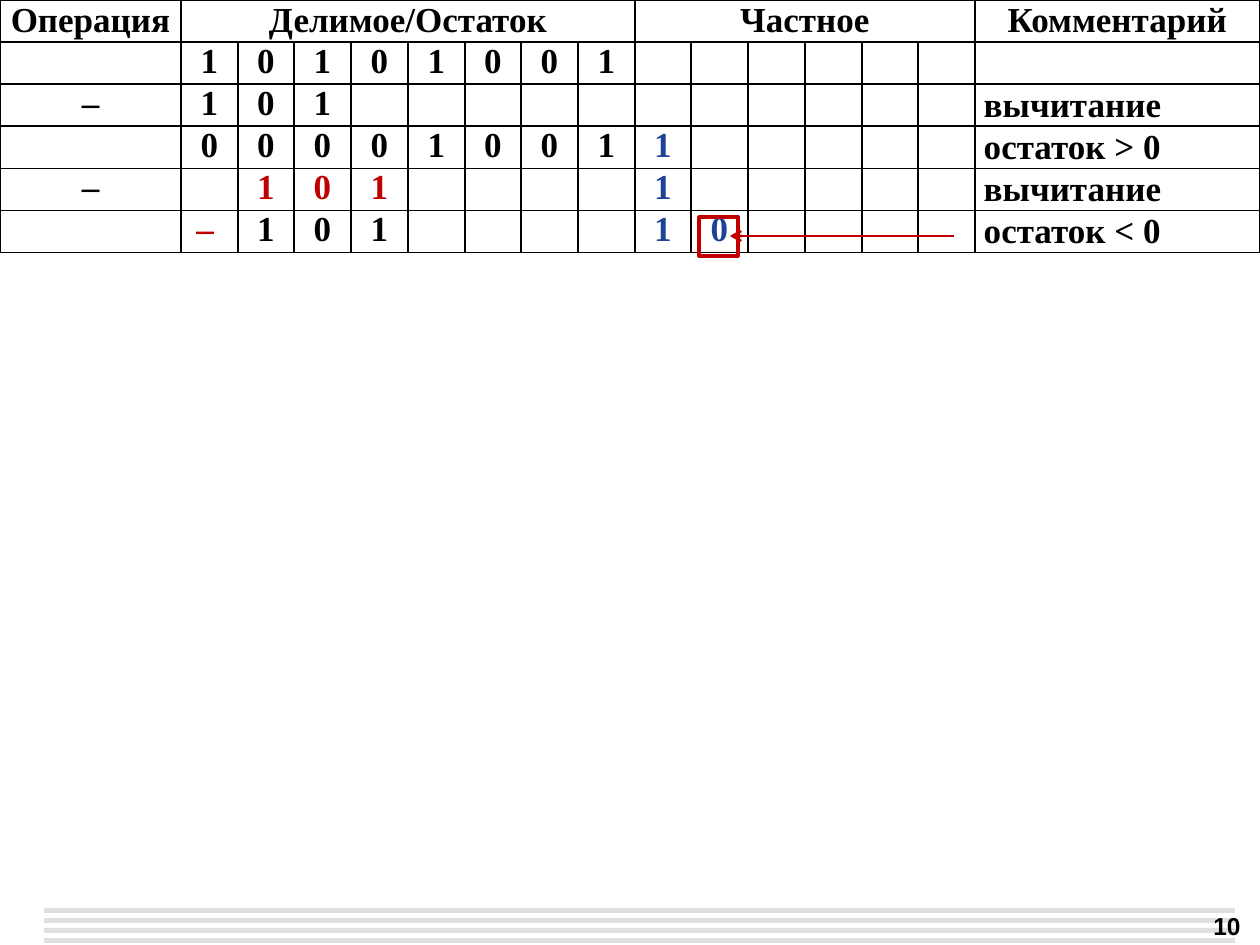
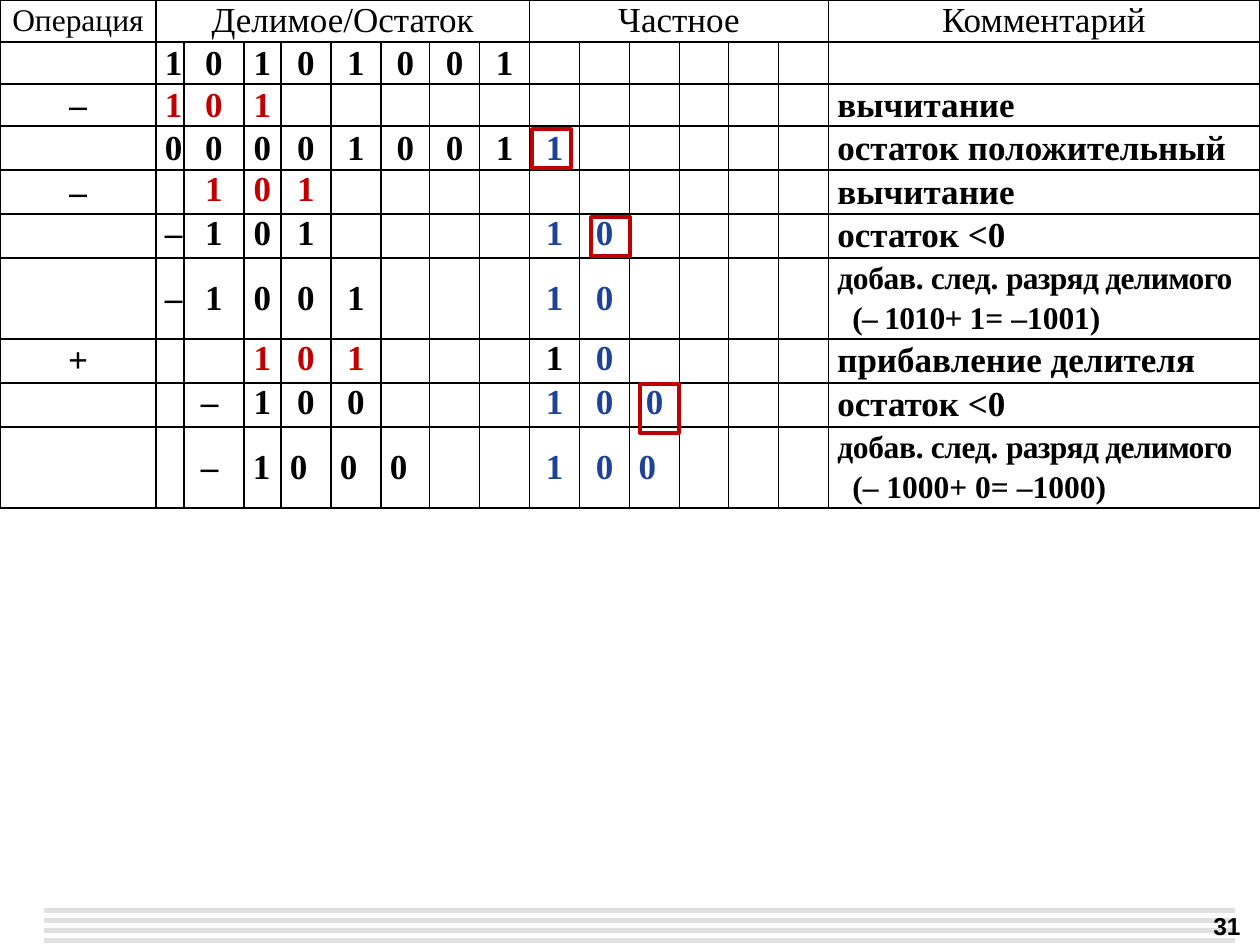
"""Two slides that divide binary numbers step by step in a table."""
from lxml.etree import SubElement as Sub
from pptx import Presentation
from pptx.dml.color import RGBColor as Rgb
from pptx.enum.shapes import MSO_CONNECTOR as Link, MSO_SHAPE as Kind
from pptx.enum.text import MSO_ANCHOR as Anchor, PP_ALIGN as Align
from pptx.oxml import parse_xml
from pptx.oxml.ns import nsdecls, qn
from pptx.util import Pt

SCALE = 914400 / 126
WIDE, HIGH = 1260, 945
SERIF, SANS = "Times New Roman", "Arial"
COLORS = {"k": "000000", "r": "C00000", "b": "1E4396", "band": "E0E0E0"}
HEADS = {0: "Операция", 1: "Делимое/Остаток", 9: "Частное", 15: "Комментарий"}
SPANS = {1: 8, 9: 14}
SIGNS = {".": "", "~": "– "}
TOP, MID = Anchor.TOP, Anchor.MIDDLE


def px(n):
    """Turn px into EMU."""
    return int(n * SCALE)


def tone(key):
    """Give the colour with this key."""
    return Rgb.from_string(COLORS[key])


def split(total, count):
    """Cut a length into near-equal whole parts."""
    edges = [round(total * i / count) for i in range(count + 1)]
    return [b - a for a, b in zip(edges, edges[1:])]


def add_run(para, text, size=20, hue="k", bold=True, face=SERIF, gap=0):
    """Add one styled run to a paragraph."""
    run = para.add_run()
    run.text = text
    font = run.font
    font.size, font.bold, font.name = Pt(size), bold, face
    font.color.rgb = tone(hue)
    if gap:
        run._r.get_or_add_rPr().set("spc", str(gap))


def add_box(slide, x, y, w, h):
    """Frame a quotient digit in red."""
    box = slide.shapes.add_shape(Kind.RECTANGLE, px(x), px(y), px(w), px(h))
    box.shadow.inherit = False
    box.fill.background()
    box.line.color.rgb = tone("r")
    box.line.width = Pt(2)


def add_arrow(slide, x1, y1, x2, y2):
    """Draw a red line with an open head at its end."""
    line = slide.shapes.add_connector(Link.STRAIGHT, px(x1), px(y1), px(x2), px(y2))
    line.line.color.rgb = tone("r")
    line.line.width = Pt(1.5)
    Sub(line.line._get_or_add_ln(), qn("a:tailEnd"), type="arrow")
    Sub(line._element.spPr, qn("a:effectLst"))


def add_foot(slide, number):
    """Draw the grey bands and the page number."""
    for i in range(4):
        band = slide.shapes.add_shape(
            Kind.RECTANGLE, px(44), px(908 + 10 * i), px(1191), px(5))
        band.shadow.inherit = False
        band.fill.solid()
        band.fill.fore_color.rgb = tone("band")
        band.line.fill.background()
    frame = slide.shapes.add_textbox(px(975), px(905), px(278), px(42)).text_frame
    frame.word_wrap = True
    para = frame.paragraphs[0]
    para.alignment = Align.RIGHT
    add_run(para, str(number), 14, face=SANS)


def set_cell(cell):
    """Clear a cell's fill, set its insets and rule its four sides."""
    cell.margin_left = cell.margin_right = px(9)
    cell.margin_top = cell.margin_bottom = 0
    cell.fill.background()
    props = cell._tc.get_or_add_tcPr()
    for i, side in enumerate("LRTB"):
        props.insert(i, parse_xml(
            f'<a:ln{side} {nsdecls("a")} w="12700"><a:solidFill>'
            f'<a:srgbClr val="{COLORS["k"]}"/></a:solidFill></a:ln{side}>'))


def put(cell, text, anchor=MID, align=Align.CENTER, after=2, **style):
    """Write one styled run into a cell."""
    if not text:
        return
    cell.vertical_anchor = anchor
    para = cell.text_frame.paragraphs[0]
    para.alignment, para.space_after = align, Pt(after)
    add_run(para, text, **style)


def put_sum(cell, lines, after):
    """Write the two-line note on the next digit, the sum indented."""
    cell.vertical_anchor = MID
    frame = cell.text_frame
    for i, runs in enumerate(lines):
        para = frame.add_paragraph() if i else frame.paragraphs[0]
        para.alignment, para.space_after = Align.LEFT, Pt(after)
        if i:
            para._p.get_or_add_pPr().set("marL", str(px(15)))
        for text, gap in runs:
            add_run(para, text, 18, gap=gap)


def add_grid(slide, cols, highs, rows, after, bold, first, op_at):
    """Build the division table from its heads and step rows."""
    table = slide.shapes.add_table(
        len(highs), len(cols), 0, 0, px(WIDE), px(sum(highs))).table
    table.first_row = table.horz_banding = False
    for col, wide in zip(table.columns, cols):
        col.width = px(wide)
    for row, high in zip(table.rows, highs):
        row.height = px(high)
    for cell in table.iter_cells():
        set_cell(cell)
    for i, end in SPANS.items():
        table.cell(0, i).merge(table.cell(0, end))
    for i, text in HEADS.items():
        put(table.cell(0, i), text, after=after, bold=bold, size=20 if i else first)
    for r, (sign, digits, hues, note, anchor, left) in enumerate(rows, 1):
        put(table.cell(r, 0), sign, op_at, after=after)
        for c, (digit, hue) in enumerate(zip(digits, hues), 1):
            align = Align.LEFT if c in left else Align.CENTER
            put(table.cell(r, c), SIGNS.get(digit, digit), anchor, align, after, hue=hue)
        last = table.cell(r, 15)
        if isinstance(note, str):
            put(last, note, MID, Align.LEFT, after)
        else:
            put_sum(last, note, after)


def step(sign, digits, hues, note="", anchor=MID, left=()):
    """Describe one row of the division."""
    return sign, digits, hues, note, anchor, left


def next_note(start, start_gap, total):
    """Compose the note on taking the next digit."""
    return [[("добав. след. ", -20), ("разряд делимого", -40)],
            [*zip(start, start_gap), ("–", -40), (total, 0)]]


def add_page(deck, number):
    """Add a blank slide with the shared footer."""
    slide = deck.slides.add_slide(deck.slide_layouts[6])
    add_foot(slide, number)
    return slide


def add_start(deck):
    """Build the slide with the first two subtractions."""
    slide = add_page(deck, 10)
    rows = [
        step("", "10101001", "k" * 8, anchor=TOP),
        step("–", "101", "kkk", "вычитание", TOP),
        step("", "000010011", "kkkkkkkkb", "остаток > 0", TOP),
        step("–", ".101....1", "krrrkkkkb", "вычитание", TOP),
        step("", "~101....10", "rkkkkkkkbb", "остаток < 0", TOP),
    ]
    add_grid(slide, [181, *split(794, 14), 285], [42] * 6, rows, 2, True, 20, TOP)
    add_arrow(slide, 954, 236, 730, 236)
    add_box(slide, 699, 217, 39, 39)


def add_later(deck):
    """Build the slide that goes on with negative remainders."""
    slide = add_page(deck, 31)
    rows = [
        step("", "10101001", "k" * 8),
        step("–", "101", "rrr", "вычитание"),
        step("", "000010011", "kkkkkkkkb", "остаток положительный"),
        step("–", ".101", "krrr", "вычитание", TOP),
        step("", "–101....10", "kkkkkkkkbb", "остаток <0", TOP),
        step("", "–1001...10", "kkkkkkkkbb",
             next_note(["(– 1010+ ", "1= "], [-40, 0], "1001)")),
        step("+", "..101...10", "kkrrrkkkkb", "прибавление делителя", TOP),
        step("", ".~100...100", "kkkkkkkkbbb", "остаток <0", TOP),
        step("", ".~1000..100", "kkkkkkkkbbb",
             next_note(["(– 1000+ 0= "], [0], "1000)"), left=(3, 4, 5, 6, 11)),
    ]
    highs = [42, 42, 42, 44, 44, 44, 81, 44, 44, 81]
    cols = [156, 28, 60, 37, *split(548, 11), 431]
    add_grid(slide, cols, highs, rows, 3, False, 18, MID)
    for x, y, h in [(532, 129, 39), (591, 217, 39), (640, 384, 49)]:
        add_box(slide, x, y, 39, h)


def main():
    """Build and save the deck."""
    deck = Presentation()
    deck.slide_width, deck.slide_height = px(WIDE), px(HIGH)
    add_start(deck)
    add_later(deck)
    deck.save("out.pptx")


if __name__ == "__main__":
    main()
